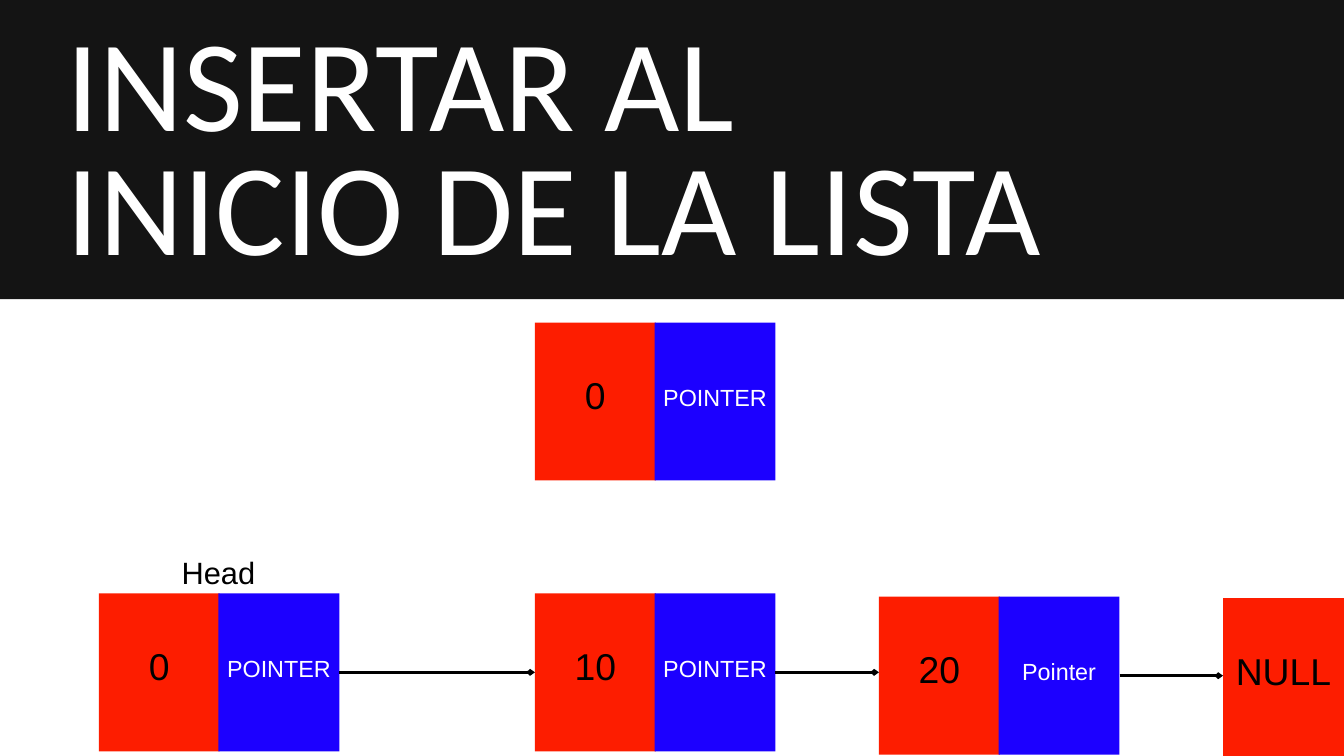
from lxml import etree
from pptx import Presentation
from pptx import util as u
from pptx.dml.color import RGBColor
from pptx.enum import shapes, text
from pptx.oxml.ns import qn

BLACK = RGBColor(0x00, 0x00, 0x00)
WHITE = RGBColor(0xFF, 0xFF, 0xFF)
BANNER = RGBColor(0x14, 0x14, 0x14)
RED = RGBColor(0xFD, 0x1D, 0x00)
BLUE = RGBColor(0x1C, 0x00, 0xFF)

# Content: value, pointer label, left, top
TITLE = "INSERTAR AL INICIO DE LA LISTA"
NEW_NODE = ("0", "POINTER", 7.96, 4.8)
LIST_NODES = [
    ("0", "POINTER", 1.47, 8.83),
    ("10", "POINTER", 7.96, 8.83),
    ("20", "Pointer", 13.08, 8.88),
    ("NULL", None, 18.2, 8.9),
]

CELL_WIDTH, CELL_HEIGHT = 1.8, 2.35
POINTER_STEP = 1.78
PADDING = 0.06
RIGHT_SIDE, LEFT_SIDE = 3, 1

deck = Presentation()
deck.slide_width, deck.slide_height = u.Inches(20), u.Inches(11.25)
page = deck.slides.add_slide(deck.slide_layouts[6])


def write(box, words, size, spacing, color, font="Arial", align=text.PP_ALIGN.CENTER,
          anchor=text.MSO_ANCHOR.TOP, pad=0, lift=0):
    """Fill a shape with one paragraph; lift is extra space below the text."""
    frame = box.text_frame
    frame.word_wrap = True
    frame.vertical_anchor = anchor
    frame.margin_left = frame.margin_right = frame.margin_top = u.Inches(pad)
    frame.margin_bottom = u.Inches(pad + lift)
    para = frame.paragraphs[0]
    para.alignment = align
    para.line_spacing = u.Pt(spacing)
    span = para.add_run()
    span.text = words
    span.font.name, span.font.size = font, u.Pt(size)
    span.font.color.rgb = color


def add_block(left, top, width, height, color):
    block = page.shapes.add_shape(shapes.MSO_SHAPE.RECTANGLE, u.Inches(left),
                                  u.Inches(top), u.Inches(width), u.Inches(height))
    block.shadow.inherit = False
    block.fill.solid()
    block.fill.fore_color.rgb = color
    block.line.fill.background()
    return block


def add_label(left, top, width, height, words, **style):
    box = page.shapes.add_textbox(u.Inches(left), u.Inches(top),
                                  u.Inches(width), u.Inches(height))
    write(box, words, **style)


def add_node(value, pointer, left, top):
    """Draw a value cell and its pointer cell; return both."""
    middle = text.MSO_ANCHOR.MIDDLE
    value_cell = add_block(left, top, CELL_WIDTH, CELL_HEIGHT, RED)
    write(value_cell, value, size=40, spacing=56, color=BLACK,
          anchor=middle, pad=PADDING, lift=0.31)
    if pointer is None:
        return value_cell, None
    pointer_cell = add_block(left + POINTER_STEP, top, CELL_WIDTH, CELL_HEIGHT, BLUE)
    write(pointer_cell, pointer, size=25, spacing=35, color=WHITE,
          anchor=middle, pad=PADDING, lift=0.2)
    return value_cell, pointer_cell


def add_arrow(source, target):
    """Draw a level arrow from a pointer cell to the next value cell."""
    level = source.top + source.height // 2
    arrow = page.shapes.add_connector(shapes.MSO_CONNECTOR.STRAIGHT,
                                      source.left + source.width, level,
                                      target.left, level)
    arrow.begin_connect(source, RIGHT_SIDE)
    if target.top == source.top:
        arrow.end_connect(target, LEFT_SIDE)
    arrow.line.color.rgb = BLACK
    arrow.line.width = u.Pt(3)
    etree.SubElement(arrow.line._get_or_add_ln(), qn("a:tailEnd"), type="arrow",
                     w="sm", len="sm")
    etree.SubElement(arrow._element.spPr, qn("a:effectLst"))


# Title banner
add_block(0, 0, 20, 4.45, BANNER)
add_label(0.99, 0.51, 14.8, 3.8, TITLE, size=139.5, spacing=132.5, color=WHITE,
          font="Calibri", align=text.PP_ALIGN.LEFT)

# Node to insert
add_node(*NEW_NODE)

# Linked list with its head label
add_label(2.61, 8.15, 1.28, 0.63, "Head", size=33, spacing=46.2, color=BLACK)
cells = [add_node(*node) for node in LIST_NODES]
for (_, pointer_cell), (next_value, _) in zip(cells, cells[1:]):
    add_arrow(pointer_cell, next_value)

deck.save("out.pptx")
